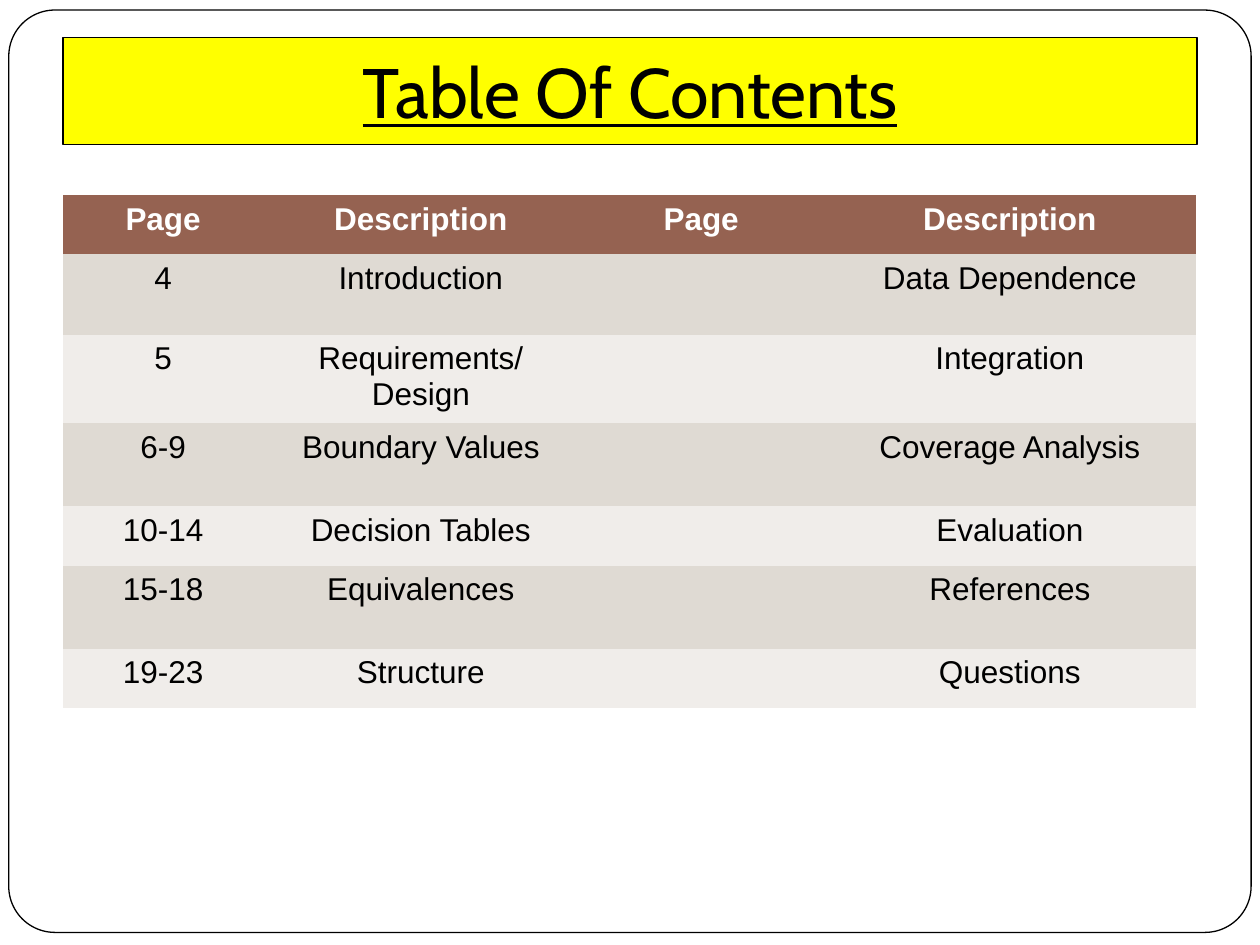
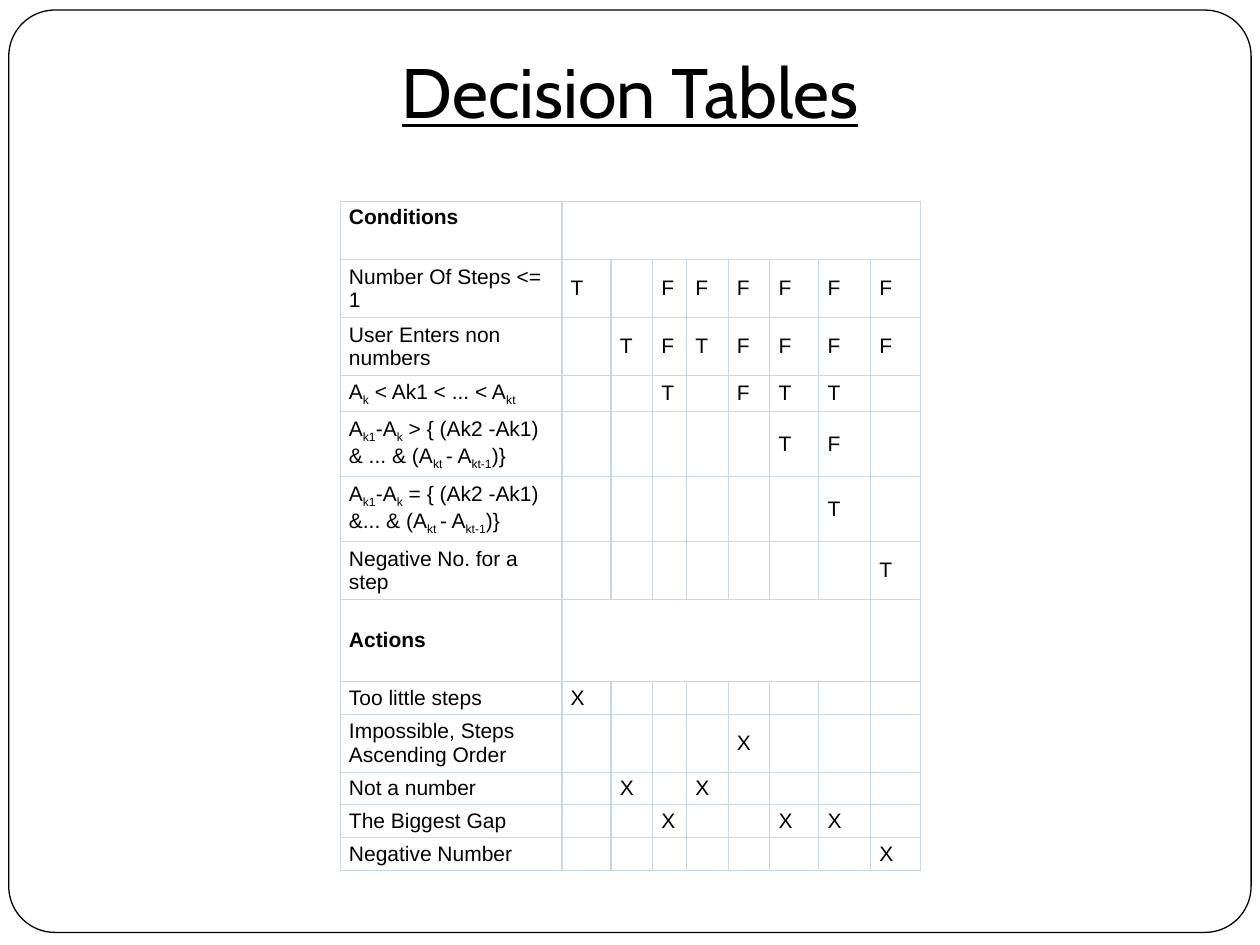
from dataclasses import dataclass
from typing import Optional

import lxml.etree
import pptx
import pptx.dml.color
import pptx.enum.shapes
import pptx.enum.text
import pptx.oxml.ns
import pptx.util

Inches = pptx.util.Inches
Pt = pptx.util.Pt
qn = pptx.oxml.ns.qn
Align = pptx.enum.text.PP_ALIGN
Anchor = pptx.enum.text.MSO_ANCHOR


@dataclass(frozen=True)
class Theme:
    ink: str = "000000"
    paper: str = "FFFFFF"
    highlight: str = "FFFF00"
    header: str = "956251"
    bands: tuple = ("DFDAD3", "F0EDEA")
    grid: str = "C8D7E1"
    title_font: str = "Cabin"
    body_font: str = "Arial"
    title_size: int = 40
    contents_size: int = 18
    decision_size: int = 12
    line_width: float = 0.75


THEME = Theme()


@dataclass(frozen=True)
class TableLayout:
    left: float
    top: float
    columns: tuple
    rows: tuple
    size: int
    align: Align
    anchor: Anchor
    margins: tuple
    border: Optional[str] = None


@dataclass(frozen=True)
class Rule:
    label: str
    marks: str = "........"
    heading: bool = False


CONTENTS_LAYOUT = TableLayout(
    0.5, 1.55, (1.59, 2.5, 1.95, 2.95), (0.47, 0.64, 0.66, 0.66, 0.47, 0.66, 0.47),
    THEME.contents_size, Align.CENTER, Anchor.TOP, (0.1, 0.05))
DECISION_LAYOUT = TableLayout(
    2.7, 1.6, (1.76, 0.39, 0.33, 0.27, 0.33, 0.33, 0.39, 0.41, 0.4),
    (0.46, 0.44, 0.45, 0.27, 0.5, 0.49, 0.46, 0.65, 0.26, 0.46, 0.26, 0.26, 0.26),
    THEME.decision_size, Align.LEFT, Anchor.MIDDLE, (0.07, 0.03), THEME.grid)

CONTENTS = (
    ("Page", "Description", "Page", "Description"),
    ("4", "Introduction", "", "Data Dependence"),
    ("5", "Requirements/Design", "", "Integration"),
    ("6-9", "Boundary Values", "", "Coverage Analysis"),
    ("10-14", "Decision Tables", "", "Evaluation"),
    ("15-18", "Equivalences", "", "References"),
    ("19-23", "Structure", "", "Questions"),
)

# Text between bars is set as a subscript.
DECISIONS = (
    Rule("Conditions", heading=True),
    Rule("Number Of Steps <= 1", "T.FFFFFF"),
    Rule("User Enters non numbers", ".TFTFFFF"),
    Rule("A|k| < Ak1 < ... < A|kt|", "..T.FTT."),
    Rule("A|k1|-A|k| > { (Ak2 -Ak1) & ... & (A|kt |- A|kt-1|)}", ".....TF."),
    Rule("A|k1|-A|k| = { (Ak2 -Ak1) &... & (A|kt |- A|kt-1|)}", "......T."),
    Rule("Negative No. for a step", ".......T"),
    Rule("Actions", heading=True),
    Rule("Too little steps", "X......."),
    Rule("Impossible, Steps Ascending Order", "....X..."),
    Rule("Not a number", ".X.X...."),
    Rule("The Biggest Gap", "..X..XX."),
    Rule("Negative Number", ".......X"),
)


def rgb(colour: str) -> pptx.dml.color.RGBColor:
    return pptx.dml.color.RGBColor.from_string(colour)


def paint(shape, fill: str) -> None:
    shape.fill.solid()
    shape.fill.fore_color.rgb = rgb(fill)
    shape.line.color.rgb = rgb(THEME.ink)
    shape.line.width = Pt(THEME.line_width)


def add_run(paragraph, text: str, font: str, size: int, colour: str = THEME.ink):
    run = paragraph.add_run()
    run.text = text
    run.font.name = font
    run.font.size = Pt(size)
    run.font.color.rgb = rgb(colour)
    return run


def add_titled_slide(deck, title: str, fill: Optional[str] = None):
    slide = deck.slides.add_slide(deck.slide_layouts[6])
    frame = slide.shapes.add_shape(
        pptx.enum.shapes.MSO_SHAPE.ROUNDED_RECTANGLE,
        Inches(0.07), Inches(0.08), Inches(9.86), Inches(7.32))
    frame.adjustments[0] = 0.05
    frame.shadow.inherit = False
    paint(frame, THEME.paper)
    banner = slide.shapes.add_textbox(Inches(0.5), Inches(0.3), Inches(9), Inches(0.85))
    if fill:
        paint(banner, fill)
    body = banner.text_frame
    body.word_wrap = True
    body.vertical_anchor = Anchor.BOTTOM
    body.margin_bottom = Inches(0.1)
    paragraph = body.paragraphs[0]
    paragraph.alignment = Align.CENTER
    add_run(paragraph, title, THEME.title_font, THEME.title_size).font.underline = True
    return slide


def set_borders(cell, colour: Optional[str]) -> None:
    properties = cell._tc.get_or_add_tcPr()
    for index, side in enumerate(("lnL", "lnR", "lnT", "lnB")):
        line = lxml.etree.Element(qn(f"a:{side}"), w=str(Pt(THEME.line_width)))
        if colour:
            solid = lxml.etree.SubElement(line, qn("a:solidFill"))
            lxml.etree.SubElement(solid, qn("a:srgbClr"), val=colour)
        else:
            lxml.etree.SubElement(line, qn("a:noFill"))
        properties.insert(index, line)


def add_grid(slide, layout: TableLayout):
    table = slide.shapes.add_table(
        len(layout.rows), len(layout.columns), Inches(layout.left), Inches(layout.top),
        Inches(sum(layout.columns)), Inches(sum(layout.rows))).table
    table.first_row = table.horz_banding = False
    for column, width in zip(table.columns, layout.columns):
        column.width = Inches(width)
    for row, height in zip(table.rows, layout.rows):
        row.height = Inches(height)
    side, end = map(Inches, layout.margins)
    for cell in table.iter_cells():
        cell.margin_left = cell.margin_right = side
        cell.margin_top = cell.margin_bottom = end
        cell.vertical_anchor = layout.anchor
        cell.fill.background()
        set_borders(cell, layout.border)
    return table


def write_cell(cell, text: str, layout: TableLayout, bold: bool = False,
               colour: str = THEME.ink) -> None:
    paragraph = cell.text_frame.paragraphs[0]
    paragraph.alignment = layout.align
    for index, part in enumerate(text.split("|")):
        if part:
            run = add_run(paragraph, part, THEME.body_font, layout.size, colour)
            run.font.bold = bold
            if index % 2:
                run._r.get_or_add_rPr().set("baseline", "-25000")
    lxml.etree.SubElement(paragraph._p, qn("a:endParaRPr"), sz=str(layout.size * 100))


def add_contents(deck) -> None:
    slide = add_titled_slide(deck, "Table Of Contents", THEME.highlight)
    table = add_grid(slide, CONTENTS_LAYOUT)
    for row, entries in enumerate(CONTENTS):
        heading = row == 0
        fill = THEME.header if heading else THEME.bands[(row - 1) % 2]
        for column, text in enumerate(entries):
            cell = table.cell(row, column)
            cell.fill.solid()
            cell.fill.fore_color.rgb = rgb(fill)
            write_cell(cell, text, CONTENTS_LAYOUT, heading,
                       THEME.paper if heading else THEME.ink)


def add_decisions(deck) -> None:
    slide = add_titled_slide(deck, "Decision Tables")
    table = add_grid(slide, DECISION_LAYOUT)
    for row, rule in enumerate(DECISIONS):
        write_cell(table.cell(row, 0), rule.label, DECISION_LAYOUT, rule.heading)
        for column, mark in enumerate(rule.marks, start=1):
            write_cell(table.cell(row, column), mark.strip("."), DECISION_LAYOUT)
    table.cell(0, 0).vertical_anchor = Anchor.TOP
    for row, last_column in ((0, 8), (7, 7)):
        table.cell(row, 1).merge(table.cell(row, last_column))


def main() -> None:
    deck = pptx.Presentation()
    deck.slide_width = Inches(10)
    deck.slide_height = Inches(7.5)
    add_contents(deck)
    add_decisions(deck)
    deck.save("out.pptx")


if __name__ == "__main__":
    main()
